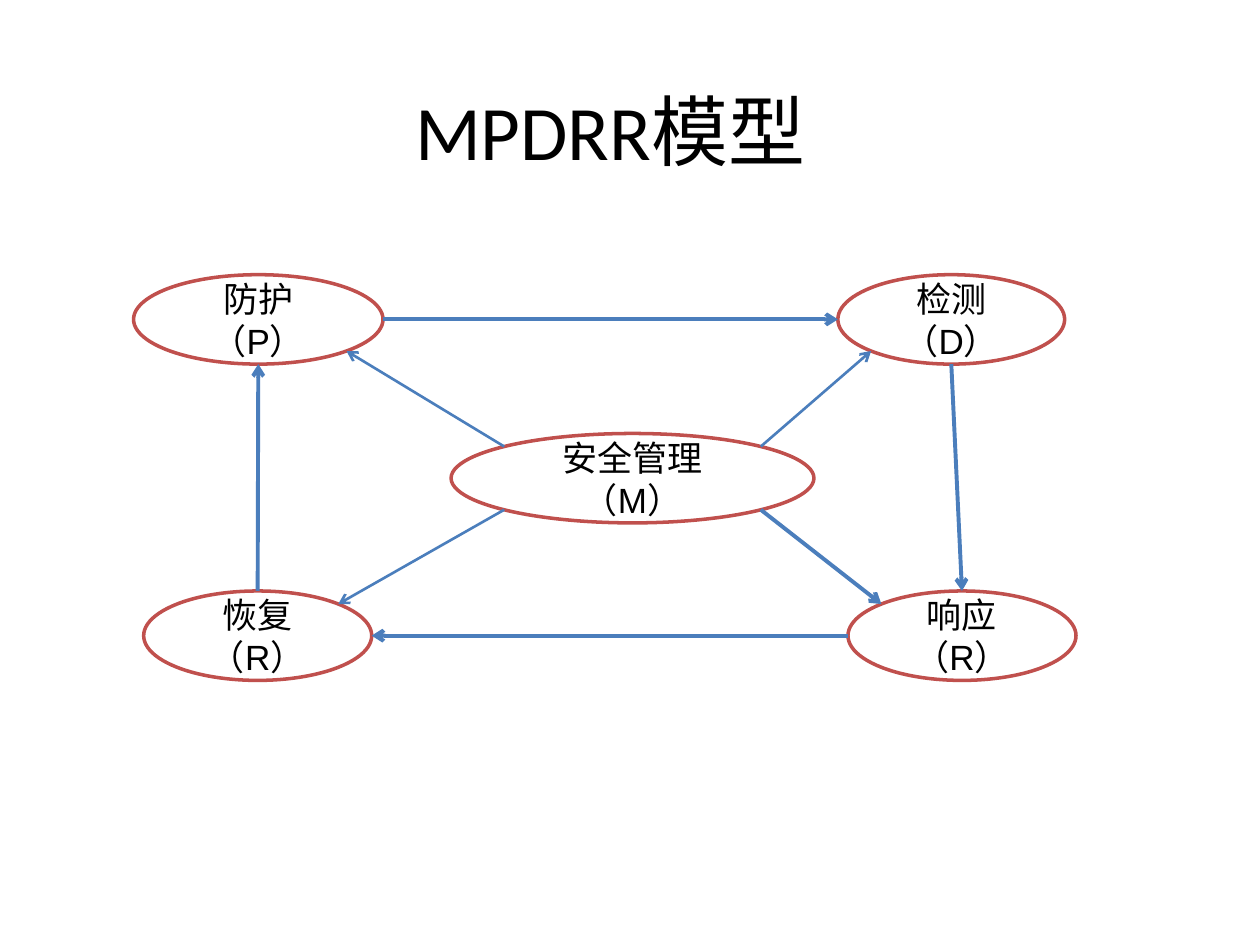
from math import cos, radians, sin

from pptx import Presentation
from pptx.dml.color import RGBColor
from pptx.enum.shapes import MSO_CONNECTOR, MSO_SHAPE
from pptx.enum.text import MSO_ANCHOR, PP_ALIGN
from pptx.oxml import parse_xml
from pptx.oxml.ns import nsdecls
from pptx.util import Inches, Pt

TOP, TOP_LEFT, LEFT, BOTTOM_LEFT, BOTTOM, BOTTOM_RIGHT, RIGHT, TOP_RIGHT = range(8)


def rgb(value):
    return RGBColor.from_string(value)


def write(tf, text, size, font, color="000000"):
    tf.word_wrap = True
    tf.vertical_anchor = MSO_ANCHOR.MIDDLE
    p = tf.paragraphs[0]
    p.alignment = PP_ALIGN.CENTER
    r = p.add_run()
    r.text = text
    r.font.size = Pt(size)
    r.font.name = font
    r.font.color.rgb = rgb(color)


def site_point(sp, site):
    angle = radians(90 + 45 * site)
    x = sp.left + sp.width / 2 * (1 + cos(angle))
    y = sp.top + sp.height / 2 * (1 - sin(angle))
    return round(x), round(y)


class Diagram:
    fill, outline, arrow_color = "FFFFFF", "C0504D", "4B7EBC"
    title_font, node_font = "Calibri", "Arial"

    def __init__(self, s):
        self.s = s

    def title(self, text, x, y, w, h):
        sp = self.s.shapes.title
        sp.left, sp.top, sp.width, sp.height = map(Inches, (x, y, w, h))
        write(sp.text_frame, text, 44, self.title_font)

    def node(self, text, x, y, w, h=0.71):
        sp = self.s.shapes.add_shape(MSO_SHAPE.OVAL, *map(Inches, (x, y, w, h)))
        sp.shadow.inherit = False
        sp.fill.solid()
        sp.fill.fore_color.rgb = rgb(self.fill)
        sp.line.color.rgb = rgb(self.outline)
        sp.line.width = Pt(2)
        write(sp.text_frame, text, 20, self.node_font)
        return sp

    def arrow(self, start, start_site, end, end_site, width=2.25):
        c = self.s.shapes.add_connector(
            MSO_CONNECTOR.STRAIGHT,
            *site_point(start, start_site), *site_point(end, end_site))
        c.line.color.rgb = rgb(self.arrow_color)
        c.line.width = Pt(width)
        ln = c.line._get_or_add_ln()
        ln.append(parse_xml(f'<a:tailEnd {nsdecls("a")} type="arrow"/>'))
        c._element.spPr.append(parse_xml(f'<a:effectLst {nsdecls("a")}/>'))


prs = Presentation()
prs.slide_width, prs.slide_height = Inches(10), Inches(7.5)
s = prs.slides.add_slide(prs.slide_layouts[0])
subtitle = s.placeholders[1]._element
subtitle.getparent().remove(subtitle)

d = Diagram(s)
d.title("MPDRR模型", 2.8, 0.52, 4.09, 1.02)

protect = d.node("防护（P）", 1.06, 2.18, 1.98)
manage = d.node("安全管理（M）", 3.58, 3.44, 2.88)
recover = d.node("恢复（R）", 1.14, 4.69, 1.81)
respond = d.node("响应（R）", 6.73, 4.69, 1.81)
detect = d.node("检测（D）", 6.65, 2.18, 1.8)

d.arrow(protect, RIGHT, detect, LEFT)
d.arrow(detect, BOTTOM, respond, TOP)
d.arrow(recover, TOP, protect, BOTTOM)
d.arrow(respond, LEFT, recover, RIGHT)
d.arrow(manage, TOP_RIGHT, detect, BOTTOM_LEFT, width=1.5)
d.arrow(manage, TOP_LEFT, protect, BOTTOM_RIGHT, width=1.5)
d.arrow(manage, BOTTOM_LEFT, recover, TOP_RIGHT, width=1.5)
d.arrow(manage, BOTTOM_RIGHT, respond, TOP_LEFT)

prs.save("out.pptx")
